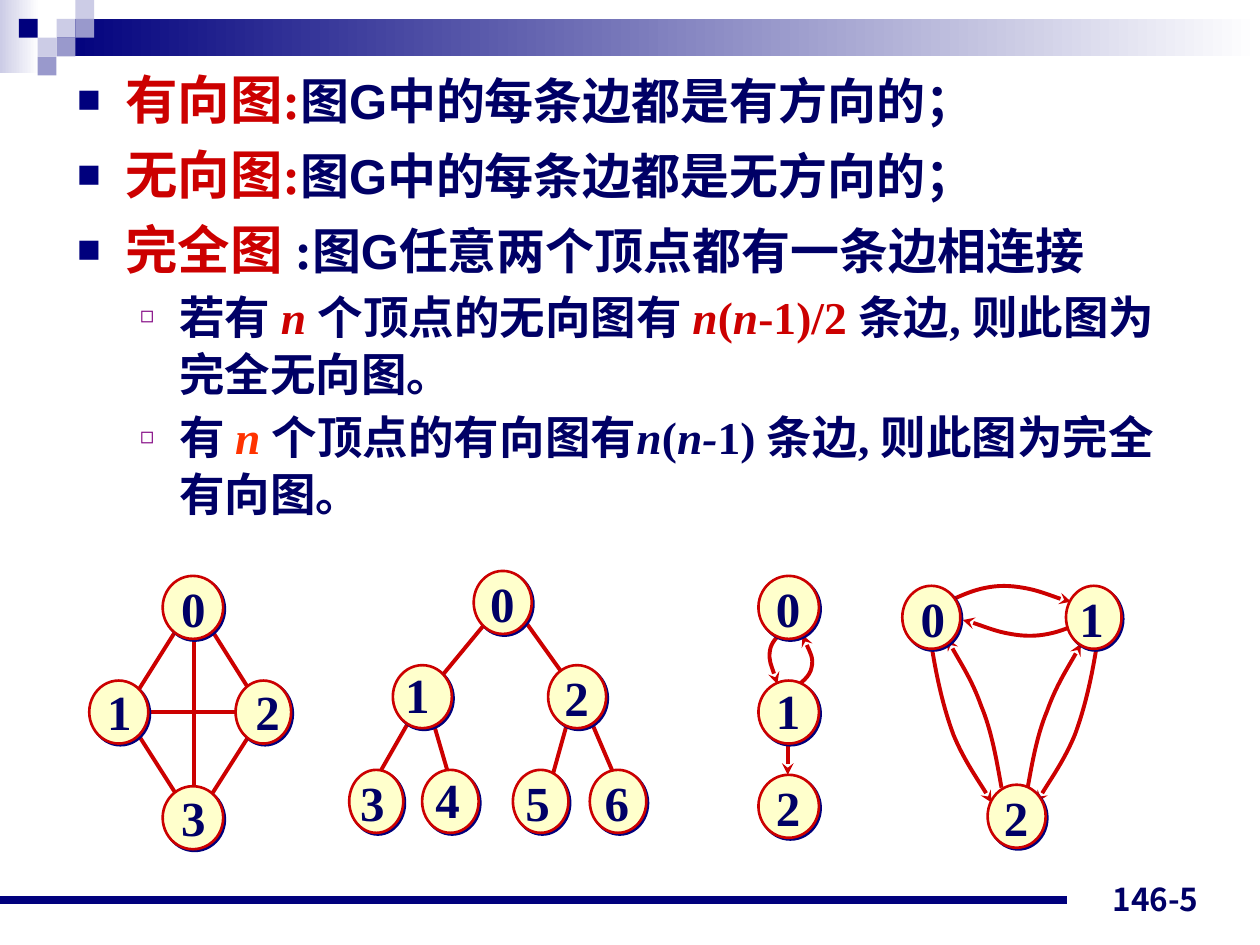
from lxml import etree
from pptx import Presentation
from pptx import util as u
from pptx.dml.color import RGBColor
from pptx.enum import shapes, text
from pptx.oxml import ns

COLORS = {"navy": "00007D", "ink": "000066", "red": "CC0000", "orange": "FF3300",
          "purple": "800080", "cream": "FFFFCC", "lilac": "CCCCE6",
          "violet": "9999CC", "white": "FFFFFF"}
SERIF = "Times New Roman"
NODE_HEIGHT = 1.27


def rgb(name):
    return RGBColor.from_string(COLORS[name])


def cm(*values):
    return [u.Cm(value) for value in values]


def add_xml(parent, tag, **attributes):
    return etree.SubElement(parent, ns.qn(tag), attributes)


def add_span(para, words, size=28, font=SERIF, color="ink", italic=False):
    span = para.add_run()
    span.text = words
    span.font.size, span.font.name = u.Pt(size), font
    span.font.bold, span.font.italic = True, italic
    span.font.color.rgb = rgb(color)


def add_label(parent, words, left, top, width, height, align=None,
              anchor=text.MSO_ANCHOR.TOP, wrap=False, **style):
    box = parent.add_textbox(*cm(left, top, width, height))
    frame = box.text_frame
    frame.word_wrap, frame.vertical_anchor = wrap, anchor
    frame.paragraphs[0].alignment = align
    add_span(frame.paragraphs[0], words, **style)


def add_block(parent, left, top, width, height, color, fade_to=None):
    block = parent.add_shape(shapes.MSO_SHAPE.RECTANGLE, *cm(left, top, width, height))
    block.shadow.inherit = False
    block.line.fill.background()
    if fade_to:
        block.fill.gradient()
        block.fill.gradient_angle = 0
        for stop, name in zip(block.fill.gradient_stops, (color, fade_to)):
            stop.color.rgb = rgb(name)
    else:
        block.fill.solid()
        block.fill.fore_color.rgb = rgb(color)


def style_line(shape, color="red", width=2.25, arrow=False):
    shape.line.color.rgb = rgb(color)
    shape.line.width = u.Pt(width)
    if arrow:
        add_xml(shape.line._get_or_add_ln(), "a:tailEnd", type="stealth")


def add_line(parent, start, end, **style):
    line = parent.add_connector(shapes.MSO_CONNECTOR.STRAIGHT, *cm(*start, *end))
    style_line(line, **style)
    add_xml(line._element.spPr, "a:effectLst")


def add_curved_arrow(parent, points):
    """Draw a Bezier arrow; after the start, points come as control, control, end."""
    corners = [tuple(cm(*point)) for point in points]
    builder = parent.build_freeform(*corners[0])
    builder.add_line_segments(corners[1:], close=False)
    curve = builder.convert_to_shape()
    curve.fill.background()
    curve.shadow.inherit = False
    style_line(curve, arrow=True)
    outline = curve._element.spPr.find(".//" + ns.qn("a:path"))
    steps = outline.findall(ns.qn("a:lnTo"))
    for first in range(0, len(steps), 3):
        bend = add_xml(outline, "a:cubicBezTo")
        for step in steps[first:first + 3]:
            bend.append(step[0])
            outline.remove(step)


def add_node(parent, digit, left, top, width, label_left, label_top):
    node = parent.add_shape(shapes.MSO_SHAPE.OVAL, *cm(left, top, width, NODE_HEIGHT))
    node.fill.solid()
    node.fill.fore_color.rgb = rgb("cream")
    style_line(node, width=1.5)
    node.shadow.inherit = False
    effects = node._element.spPr.find(ns.qn("a:effectLst"))
    shadow = add_xml(effects, "a:outerShdw", dist=str(u.Pt(1.4)), dir="2700000",
                     algn="ctr", rotWithShape="0")
    add_xml(shadow, "a:srgbClr", val=COLORS["navy"])
    add_label(parent, str(digit), label_left, label_top, 0.99, 1.45)


def add_graph(page, nodes, edges=(), arrows=(), curves=()):
    group = page.shapes.add_group_shape().shapes
    for curve in curves:
        add_curved_arrow(group, curve)
    for start, end in edges:
        add_line(group, start, end)
    for start, end in arrows:
        add_line(group, start, end, arrow=True)
    for digit, node in enumerate(nodes):
        add_node(group, digit, *node)


def add_bullet(para, level, spans):
    sign, color, percent, indent, hang, space = (
        ("■", "navy", 75, 0.97, 0.97, 7), ("◻", "purple", 50, 2.06, 0.79, 3.3))[level]
    para.level = level
    props = para._p.get_or_add_pPr()
    props.set("marL", str(u.Cm(indent)))
    props.set("indent", str(-u.Cm(hang)))
    add_xml(add_xml(props, "a:buClr"), "a:srgbClr", val=COLORS[color])
    add_xml(props, "a:buSzPct", val=str(percent * 1000))
    add_xml(props, "a:buFont", typeface="Arial")
    add_xml(props, "a:buChar", char=sign)
    para.alignment = text.PP_ALIGN.LEFT
    para.line_spacing = 1.05 if level else 1.0
    is_first = para._p.getprevious().tag != ns.qn("a:p")
    para.space_before = u.Pt(0 if is_first else space)
    for words, style in spans:
        add_span(para, words, **style)


def add_definitions(page):
    term = dict(size=30, color="red")
    meaning = dict(size=28, font="Arial")
    plain, var = dict(size=26), dict(size=26, italic=True)
    red, red_var = dict(plain, color="red"), dict(var, color="red")
    items = [
        (0, [("有向图:", term), ("图G中的每条边都是有方向的；", meaning)]),
        (0, [("无向图:", term), ("图G中的每条边都是无方向的；", meaning)]),
        (0, [("完全图 ", term), (":", dict(size=30)),
             ("图G任意两个顶点都有一条边相连接", meaning)]),
        (1, [("若有 ", plain), ("n ", red_var), ("个顶点的无向图有 ", plain),
             ("n", red_var), ("(", red), ("n", red_var), ("-1)/2 ", red),
             ("条边, 则此图为完全无向图。", plain)]),
        (1, [("有 ", plain), ("n ", dict(var, color="orange")),
             ("个顶点的有向图有", plain), ("n", var), ("(", plain), ("n-", var),
             ("1) 条边, 则此图为完全有向图。", plain)]),
    ]
    body = page.placeholders[1]
    body.left, body.top, body.width, body.height = cm(1.3, 1.22, 22.94, 9.75)
    frame = body.text_frame
    frame.auto_size = text.MSO_AUTO_SIZE.NONE
    for number, (level, spans) in enumerate(items):
        para = frame.add_paragraph() if number else frame.paragraphs[0]
        add_bullet(para, level, spans)


def add_decoration(page):
    add_block(page.shapes, 0, 0, 0.79, 1.47, "lilac", fade_to="white")
    add_block(page.shapes, 1.14, 0.38, 24.26, 0.76, "navy", fade_to="white")
    side = 0.38
    for column, row, color in [(3, 1, "lilac"), (4, 0, "lilac"), (4, 1, "violet"),
                               (2, 2, "lilac"), (1, 1, "navy"), (3, 2, "violet"),
                               (2, 3, "violet")]:
        add_block(page.shapes, column * side, row * side, side, side, color)
    add_line(page.shapes, (0, 18.14), (21.51, 18.14), color="navy", width=4.5)
    add_label(page.shapes, "146-5", 18.49, 17.35, 5.92, 1.27, wrap=True, size=18,
              align=text.PP_ALIGN.RIGHT, anchor=text.MSO_ANCHOR.BOTTOM,
              font="Noto Sans CJK JP")


def add_chain(page):
    down = [(15.82, 12.7), (15.67, 12.83), (15.54, 12.95), (15.52, 13.13),
            (15.49, 13.31), (15.65, 13.69), (15.67, 13.79)]
    up = [(15.98, 13.89), (16.15, 13.77), (16.33, 13.64), (16.36, 13.46),
          (16.41, 13.26), (16.21, 12.9), (16.18, 12.8)]
    tops = [(11.61, 11.53), (13.72, 13.59), (15.62, 15.54)]
    add_graph(page, [(15.29, top, 1.22, 15.39, label) for top, label in tops],
              arrows=[((15.88, 14.99), (15.88, 15.62))], curves=[down, up])


def add_directed_triangle(page):
    back = [(21.89, 12.5), (21.64, 12.62), (21.39, 12.73), (21.13, 12.78),
            (20.88, 12.83), (20.65, 12.83), (20.37, 12.78), (20.07, 12.73),
            (19.56, 12.52), (19.41, 12.5)]
    down = [(22.1, 13.08), (22, 13.69), (21.87, 14.27), (21.67, 14.81),
            (21.46, 15.32), (21.03, 15.93), (20.9, 16.18)]
    up = [(20.7, 15.98), (20.8, 15.42), (20.9, 14.83), (21.11, 14.33),
          (21.29, 13.82), (21.67, 13.23), (21.79, 12.98)]
    forth = [(41 - x, 24.63 - y) for x, y in back]
    left_down = [(40.89 - x, y) for x, y in down]
    left_up = [(40.89 - x, y - 0.1) for x, y in up]
    add_graph(page, [(18.19, 11.81, 1.17, 18.31, 11.73), (21.49, 11.81, 1.12, 21.51, 11.73),
                     (19.91, 15.82, 1.17, 19.99, 15.75)],
              curves=[back, forth, down, up, left_down, left_up])


def add_tree(page):
    edges = [((10.62, 12.57), (11.68, 14.05)), ((9.78, 12.57), (8.92, 13.61))]
    edges += [((start, 14.48), (end, 15.95)) for start, end in
              [(11.46, 11.05), (11.89, 12.52), (8.71, 9.14), (8.28, 7.44)]]
    add_graph(page, [(9.55, 11.51, 1.17, 9.63, 11.43), (7.92, 13.41, 1.19, 7.92, 13.28),
                     (11.05, 13.41, 1.17, 11.13, 13.34), (7.04, 15.52, 1.09, 7.01, 15.44),
                     (8.51, 15.52, 1.14, 8.53, 15.39), (10.34, 15.52, 1.12, 10.34, 15.44),
                     (11.89, 15.52, 1.14, 11.94, 15.44)], edges)


def add_complete_graph(page):
    edges = [((2.64, 14.58), (3.71, 16.26)), ((4.11, 12.45), (5.18, 14.15)),
             ((5.18, 14.58), (4.11, 16.26)), ((3.71, 12.45), (2.64, 14.15)),
             ((2.84, 14.35), (5.18, 14.35)), ((3.91, 12.67), (3.91, 16.48))]
    add_graph(page, [(3.28, 11.61, 1.22, 3.4, 11.53), (1.8, 13.72, 1.19, 1.91, 13.61),
                     (4.75, 13.72, 1.12, 4.9, 13.61), (3.28, 15.85, 1.22, 3.4, 15.75)],
              edges)


def main():
    deck = Presentation()
    deck.slide_width, deck.slide_height = cm(25.4, 19.05)
    page = deck.slides.add_slide(deck.slide_layouts[1])
    title = page.shapes.title._element
    title.getparent().remove(title)
    add_decoration(page)
    add_definitions(page)
    add_chain(page)
    add_directed_triangle(page)
    add_tree(page)
    add_complete_graph(page)
    deck.save("out.pptx")


if __name__ == "__main__":
    main()
